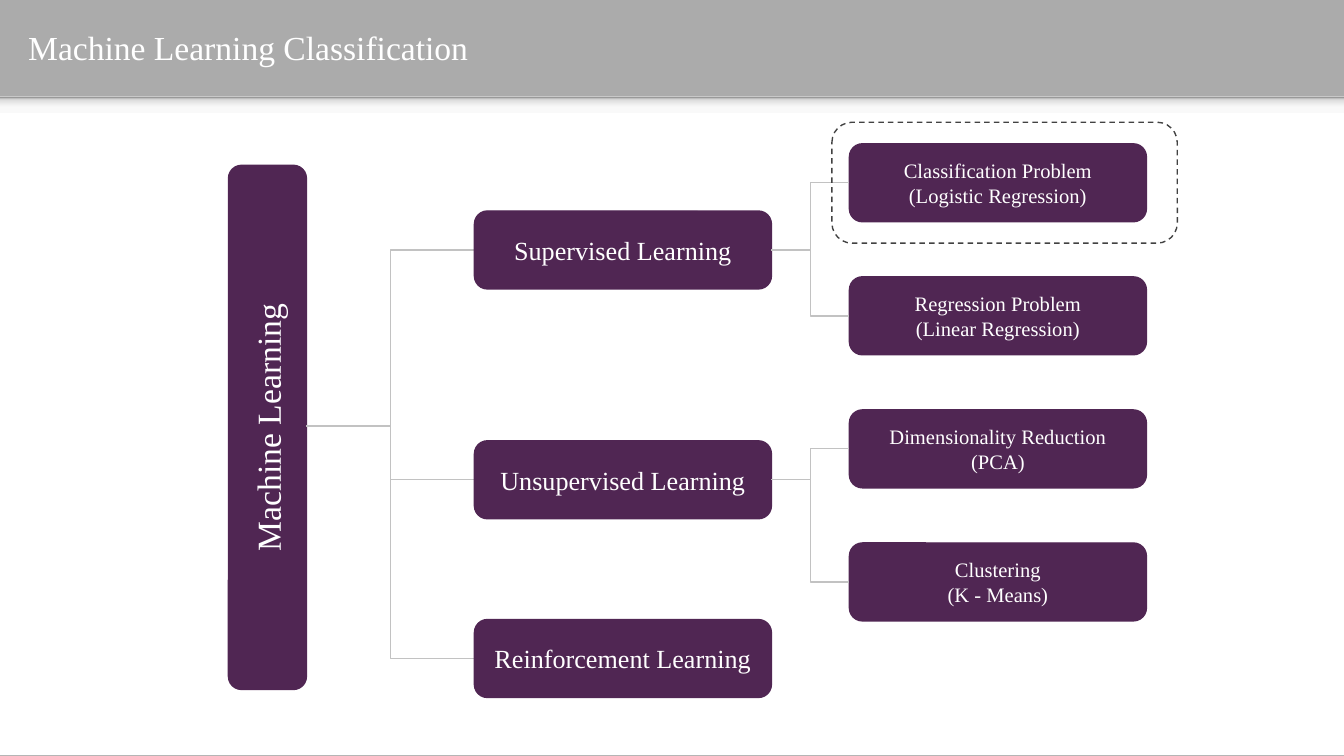
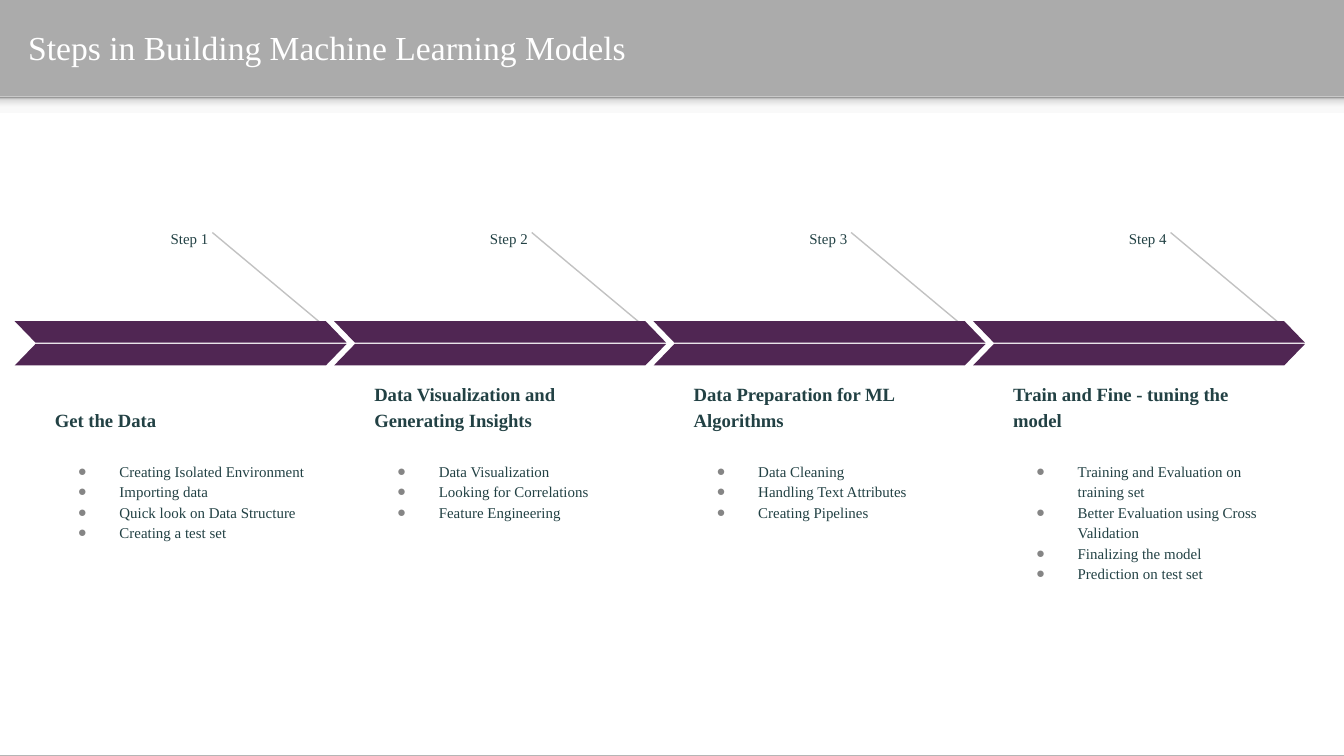
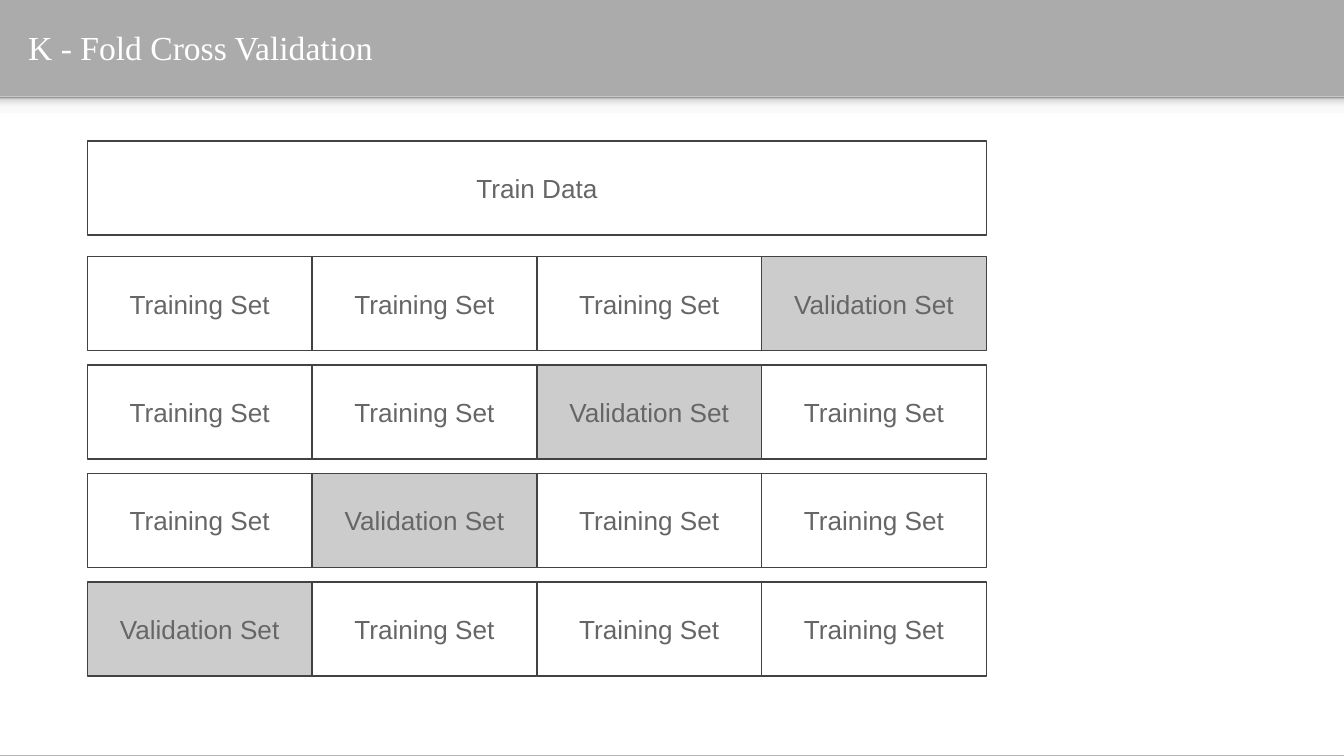
from copy import deepcopy

from lxml import etree
from pptx import Presentation
from pptx.dml.color import RGBColor
from pptx.enum.dml import MSO_LINE
from pptx.enum.shapes import MSO_CONNECTOR, MSO_SHAPE
from pptx.enum.text import MSO_ANCHOR, MSO_AUTO_SIZE, PP_ALIGN
from pptx.oxml.ns import qn
from pptx.util import Inches, Pt

RECTANGLE = MSO_SHAPE.RECTANGLE
ROUNDED = MSO_SHAPE.ROUNDED_RECTANGLE
PARALLELOGRAM = MSO_SHAPE.PARALLELOGRAM
STRAIGHT = MSO_CONNECTOR.STRAIGHT
ELBOW = MSO_CONNECTOR.ELBOW
DASH = MSO_LINE.DASH
TOP, MIDDLE, BOTTOM = MSO_ANCHOR.TOP, MSO_ANCHOR.MIDDLE, MSO_ANCHOR.BOTTOM
LEFT, CENTER, RIGHT = PP_ALIGN.LEFT, PP_ALIGN.CENTER, PP_ALIGN.RIGHT
NO_AUTOFIT = MSO_AUTO_SIZE.NONE

COLORS = {
    "header": "ABABAB",
    "white": "FFFFFF",
    "purple": "502653",
    "connector": "C2C2C2",
    "outline": "424242",
    "step_text": "224144",
    "bullet": "858585",
    "fold_text": "666666",
    "validation": "CCCCCC",
    "shadow_light": "F9F9F9",
    "shadow_middle": "DEDEDE",
    "shadow_dark": "999999",
}
SHADOW_STOPS = [(0, "shadow_light"), (0.36, "shadow_light"),
                (0.8, "shadow_middle"), (1, "shadow_dark")]
SERIF = "Times New Roman"
SANS = "Arial"

SLIDE_WIDTH = Inches(10)
SLIDE_HEIGHT = SLIDE_WIDTH * 9 // 16

NODE_WIDTH, NODE_HEIGHT = 2.21, 0.58
ROOT_RIGHT, ROOT_MIDDLE = 2.28, 3.17
BRANCH_LEFT, LEAF_LEFT = 3.53, 6.32
LEAF_TOP, LEAF_PITCH = 1.07, 0.99
BRANCHES = [
    ("Supervised Learning", 1.57,
     ["Classification Problem\n(Logistic Regression)",
      "Regression Problem\n(Linear Regression)"]),
    ("Unsupervised Learning", 3.28,
     ["Dimensionality Reduction\n(PCA)", "Clustering\n(K - Means)"]),
    ("Reinforcement Learning", 4.61, []),
]

STEP_LEFT, STEP_PITCH = 0.11, 7.13 / 3
STEPS = [
    ("Get the Data",
     "Creating Isolated Environment\nImporting data\n"
     "Quick look on Data Structure\nCreating a test set"),
    ("Data Visualization and Generating Insights",
     "Data Visualization\nLooking for Correlations\nFeature Engineering"),
    ("Data Preparation for ML Algorithms",
     "Data Cleaning\nHandling Text Attributes\nCreating Pipelines"),
    ("Train and Fine - tuning the model",
     "Training and Evaluation on training set\n"
     "Better Evaluation using Cross Validation\n"
     "Finalizing the model\nPrediction on test set"),
]

FOLDS = 4
FOLD_LEFT, FOLD_TOP = 0.65, 1.91
FOLD_TOTAL_WIDTH, FOLD_HEIGHT = 6.69, 0.7
FOLD_PITCH = 2.42 / 3


def rgb(name):
    return RGBColor.from_string(COLORS[name])


def add_bullet(paragraph):
    properties = paragraph._p.get_or_add_pPr()
    properties.set("marL", str(Inches(0.5)))
    properties.set("indent", str(Inches(-0.31)))
    color = etree.SubElement(properties, qn("a:buClr"))
    etree.SubElement(color, qn("a:srgbClr"), val=COLORS["bullet"])
    etree.SubElement(properties, qn("a:buFont"), typeface=SERIF)
    etree.SubElement(properties, qn("a:buChar"), char="●")


def write_text(shape, text, size=14, color="white", font=SERIF, bold=False,
               align=CENTER, anchor=MIDDLE, line_spacing=None,
               space_after=None, bullets=False):
    frame = shape.text_frame
    frame.text = text
    frame.word_wrap = True
    frame.auto_size = NO_AUTOFIT
    frame.vertical_anchor = anchor
    frame.margin_left = frame.margin_right = Inches(0.1)
    frame.margin_top = frame.margin_bottom = Inches(0.1)
    for paragraph in frame.paragraphs:
        paragraph.alignment = align
        if line_spacing:
            paragraph.line_spacing = line_spacing
        if space_after:
            paragraph.space_after = Pt(space_after)
        if bullets:
            add_bullet(paragraph)
        for run in paragraph.runs:
            run.font.name = font
            run.font.size = Pt(size)
            run.font.bold = bold
            run.font.color.rgb = rgb(color)


def add_box(shapes, kind, left, top, width, height, fill=None, line=None):
    shape = shapes.add_shape(kind, Inches(left), Inches(top),
                             Inches(width), Inches(height))
    shape.shadow.inherit = False
    if fill:
        shape.fill.solid()
        shape.fill.fore_color.rgb = rgb(fill)
    else:
        shape.fill.background()
    if line:
        shape.line.color.rgb = rgb(line)
        shape.line.width = Pt(0.75)
    else:
        shape.line.fill.background()
    return shape


def add_line(shapes, kind, start, end):
    connector = shapes.add_connector(
        kind, *(Inches(value) for value in (*start, *end)))
    connector.line.color.rgb = rgb("connector")
    connector.line.width = Pt(0.75)
    etree.SubElement(connector._element.spPr, qn("a:effectLst"))


def add_step_text(shapes, left, top, width, height, text, **text_format):
    box = shapes.add_textbox(Inches(left), Inches(top),
                             Inches(width), Inches(height))
    write_text(box, text, color="step_text", line_spacing=1.15, **text_format)


def add_header_shadow(shapes):
    band = add_box(shapes, RECTANGLE, 0, 0.72, 10, 0.12)
    band.fill.gradient()
    band.fill.gradient_angle = 90
    stop_list = band._element.spPr.find(".//" + qn("a:gsLst"))
    while len(stop_list) < len(SHADOW_STOPS):
        stop_list.append(deepcopy(stop_list[0]))
    for stop, (position, color) in zip(band.fill.gradient_stops, SHADOW_STOPS):
        stop.position = position
        stop.color.rgb = rgb(color)


def start_slide(presentation, title_text):
    slide = presentation.slides.add_slide(presentation.slide_layouts[5])
    slide.background.fill.solid()
    slide.background.fill.fore_color.rgb = rgb("header")
    add_box(slide.shapes, RECTANGLE, 0, 0.72, 10, 4.9, fill="white")
    add_header_shadow(slide.shapes)
    title = slide.shapes.title
    title.left, title.top = Inches(0.11), Inches(0.02)
    title.width, title.height = Inches(9.65), Inches(0.66)
    write_text(title, title_text, size=18, align=LEFT)
    return slide


def add_node(shapes, left, top, text, size, width=NODE_WIDTH):
    node = add_box(shapes, ROUNDED, left, top, width, NODE_HEIGHT,
                   fill="purple", line="purple")
    write_text(node, text, size=size)
    return node


def build_classification(presentation):
    shapes = start_slide(presentation, "Machine Learning Classification").shapes
    root = add_node(shapes, 0.04, 2.89, "Machine Learning", 18, width=3.9)
    root.rotation = 270
    leaf_top = LEAF_TOP
    for name, top, leaves in BRANCHES:
        middle = top + NODE_HEIGHT / 2
        add_line(shapes, ELBOW, (ROOT_RIGHT, ROOT_MIDDLE), (BRANCH_LEFT, middle))
        add_node(shapes, BRANCH_LEFT, top, name, 14)
        for leaf in leaves:
            add_node(shapes, LEAF_LEFT, leaf_top, leaf, 11)
            add_line(shapes, ELBOW, (BRANCH_LEFT + NODE_WIDTH, middle),
                     (LEAF_LEFT, leaf_top + NODE_HEIGHT / 2))
            leaf_top += LEAF_PITCH
    highlight = add_box(shapes, ROUNDED, 6.19, 0.91, 2.57, 0.9, line="outline")
    highlight.line.dash_style = DASH


def add_step(slide, number, heading, items):
    left = STEP_LEFT + (number - 1) * STEP_PITCH
    shapes = slide.shapes.add_group_shape().shapes
    add_step_text(shapes, left + 0.7, 1.59, 0.84, 0.26, f"Step {number}",
                  size=8, align=RIGHT, anchor=TOP, space_after=16)
    add_step_text(shapes, left + 0.2, 2.82, 2.02, 0.49, heading,
                  size=10, bold=True, align=LEFT, anchor=BOTTOM)
    add_step_text(shapes, left + 0.18, 3.32, 2.08, 0.81, items,
                  size=8, align=LEFT, anchor=TOP, bullets=True)
    add_line(shapes, STRAIGHT, (left + 1.47, 1.73), (left + 2.44, 2.54))
    for top, flipped in ((2.39, True), (2.56, False)):
        half = add_box(shapes, PARALLELOGRAM, left, top, 2.47, 0.16,
                       fill="purple")
        half.adjustments[0] = 0.97
        if flipped:
            half._element.spPr.xfrm.set("flipH", "1")


def build_steps(presentation):
    slide = start_slide(presentation, "Steps in Building Machine Learning Models")
    for number, (heading, items) in enumerate(STEPS, start=1):
        add_step(slide, number, heading, items)


def add_fold_cell(shapes, left, top, width, text, fill=None):
    cell = add_box(shapes, RECTANGLE, left, top, width, FOLD_HEIGHT,
                   fill=fill, line="outline")
    write_text(cell, text, color="fold_text", font=SANS)


def build_cross_validation(presentation):
    shapes = start_slide(presentation, "K - Fold Cross Validation").shapes
    add_fold_cell(shapes, FOLD_LEFT, 1.05, FOLD_TOTAL_WIDTH, "Train Data")
    width = FOLD_TOTAL_WIDTH / FOLDS
    for row in range(FOLDS):
        for column in range(FOLDS):
            held_out = row + column == FOLDS - 1
            add_fold_cell(shapes, FOLD_LEFT + column * width,
                          FOLD_TOP + row * FOLD_PITCH, width,
                          "Validation Set" if held_out else "Training Set",
                          fill="validation" if held_out else None)


def main():
    presentation = Presentation()
    presentation.slide_width = SLIDE_WIDTH
    presentation.slide_height = SLIDE_HEIGHT
    build_classification(presentation)
    build_steps(presentation)
    build_cross_validation(presentation)
    presentation.save("out.pptx")


if __name__ == "__main__":
    main()
